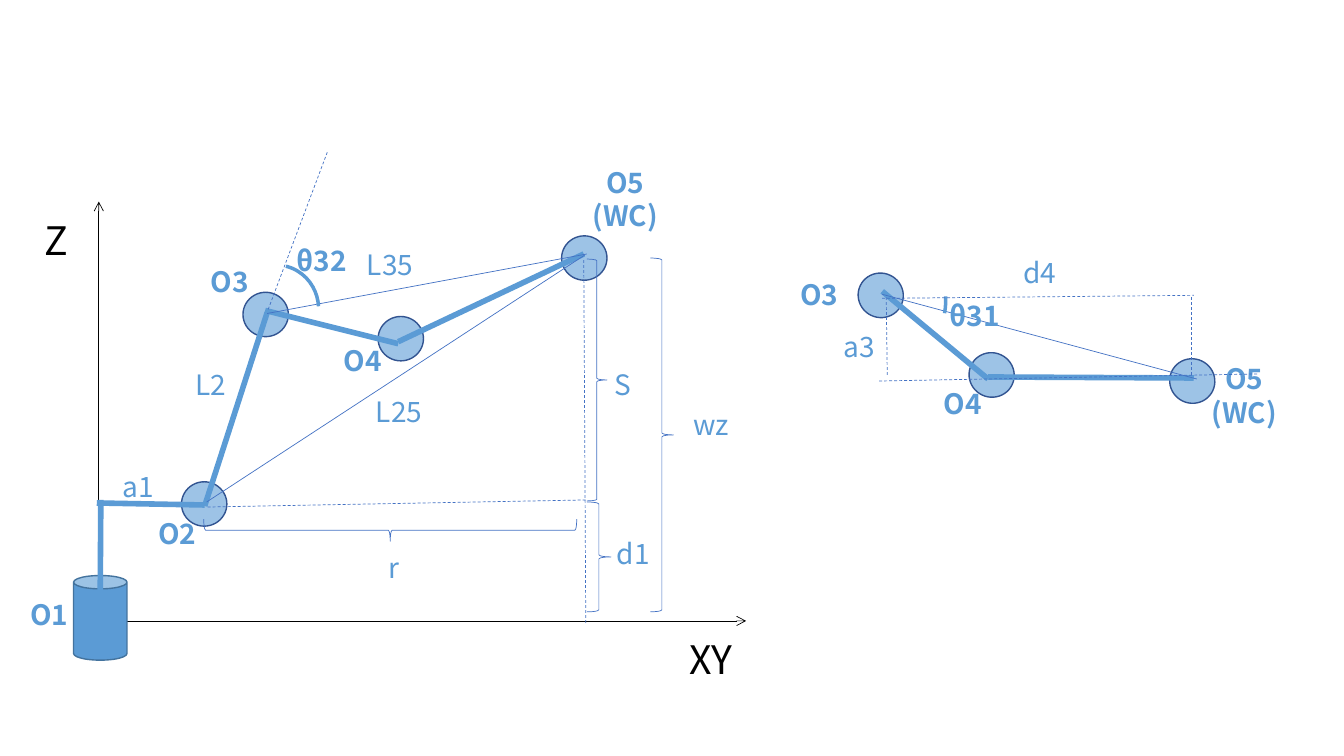
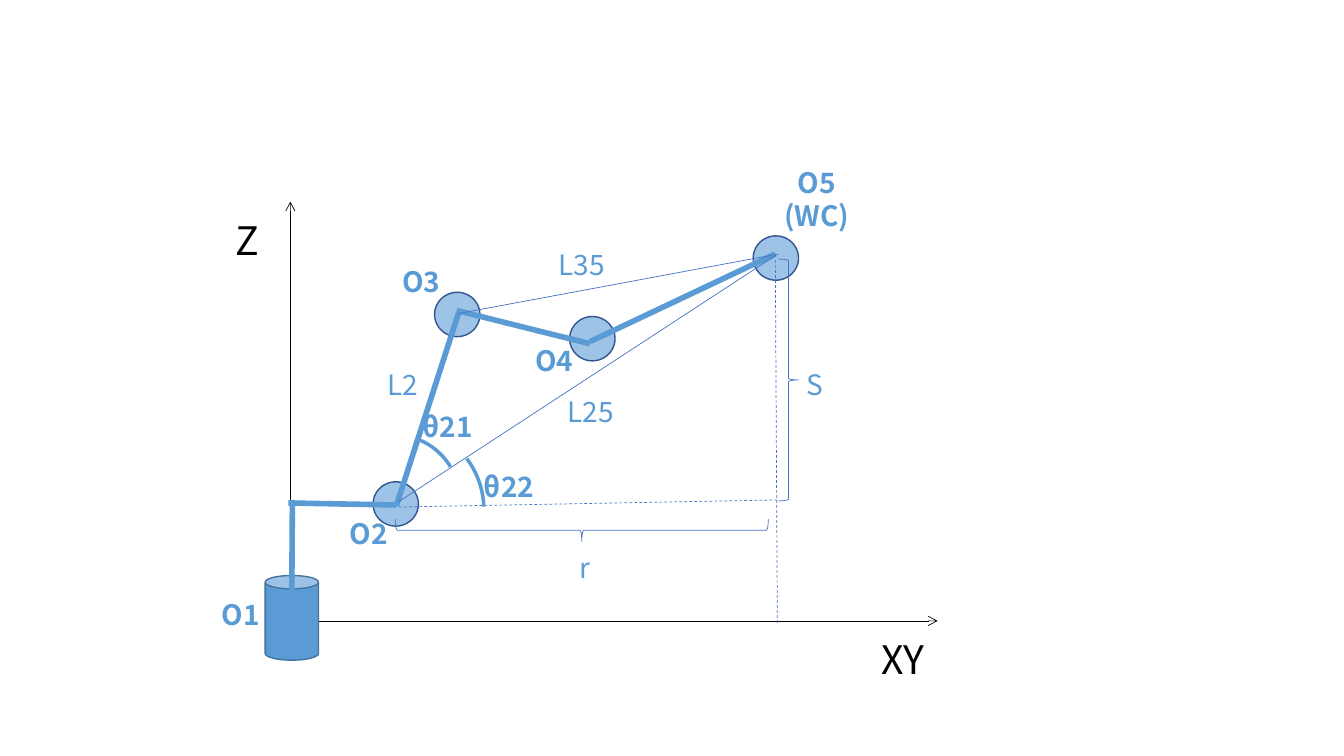
"""Two slides that show the joint angles of a robot arm."""
from dataclasses import dataclass

from lxml import etree
from pptx import Presentation
from pptx.dml.color import RGBColor
from pptx.enum.dml import MSO_LINE
from pptx.enum.shapes import MSO_CONNECTOR, MSO_SHAPE
from pptx.enum.text import MSO_AUTO_SIZE, PP_ALIGN
from pptx.oxml.ns import qn
from pptx.slide import Slide
from pptx.util import Inches, Pt

STRAIGHT = MSO_CONNECTOR.STRAIGHT
OVAL, CAN = MSO_SHAPE.OVAL, MSO_SHAPE.CAN
BRACE, ARC = MSO_SHAPE.RIGHT_BRACE, MSO_SHAPE.ARC
DASH = MSO_LINE.DASH
LEFT, CENTER = PP_ALIGN.LEFT, PP_ALIGN.CENTER
GROW = MSO_AUTO_SIZE.SHAPE_TO_FIT_TEXT

FONT = "Noto Sans CJK JP"
BLUE, PALE, THIN = "5B9BD5", "9DC3E6", "4472C4"
RIM, EDGE, BLACK = "43739E", "325491", "000000"
JOINT = (0.45, 0.44)
SHIFT = 1.9


@dataclass
class Board:
    """A slide and the distance that its drawing is moved right."""
    slide: Slide
    shift: float = 0


def color(code):
    """Turn a hex string into a colour."""
    return RGBColor.from_string(code)


def line(board, start, end, code=THIN, width=0.5, dash=False, arrow=False):
    """Draw a straight line, dashed or with an arrowhead if asked."""
    (left, top), (right, low) = start, end
    item = board.slide.shapes.add_connector(
        STRAIGHT, Inches(left + board.shift), Inches(top),
        Inches(right + board.shift), Inches(low))
    item.line.color.rgb = color(code)
    item.line.width = Pt(width)
    if dash:
        item.line.dash_style = DASH
    props = item._element.spPr
    if arrow:
        etree.SubElement(props.find(qn("a:ln")), qn("a:tailEnd"), type="arrow")
    etree.SubElement(props, qn("a:effectLst"))


def link(board, start, end):
    """Draw a thick link of the arm."""
    line(board, start, end, BLUE, 4)


def shape(board, kind, box, fill=None, edge=THIN, width=0.5, turn=0):
    """Draw a preset shape and return it."""
    left, top, wide, high = box
    item = board.slide.shapes.add_shape(
        kind, Inches(left + board.shift), Inches(top),
        Inches(wide), Inches(high))
    item.shadow.inherit = False
    item.rotation = turn
    if fill:
        item.fill.solid()
        item.fill.fore_color.rgb = color(fill)
    else:
        item.fill.background()
    item.line.color.rgb = color(edge)
    item.line.width = Pt(width)
    return item


def joint(board, left, top, turn=0):
    """Draw a round joint."""
    shape(board, OVAL, (left, top, *JOINT), PALE, EDGE, 1, turn)


def angle(board, box, start, end):
    """Draw an arc between two angles in degrees."""
    arc = shape(board, ARC, box, edge=BLUE, width=2.5)
    for place, turn in enumerate((start, end)):
        arc.adjustments[place] = turn * 60000 / 100000


def label(board, text, left, top, wide=0.72, high=0.44, bold=False,
          size=20, code=BLUE, align=LEFT):
    """Write a label."""
    box = board.slide.shapes.add_textbox(
        Inches(left + board.shift), Inches(top), Inches(wide), Inches(high))
    frame = box.text_frame
    frame.word_wrap = True
    frame.auto_size = GROW
    frame.text = text
    para = frame.paragraphs[0]
    para.alignment = align
    font = para.runs[0].font
    font.name, font.size, font.bold = FONT, Pt(size), bold
    font.color.rgb = color(code)


def name(board, text, left, top, wide=0.95):
    """Write the bold name of a joint or an angle."""
    label(board, text, left, top, wide, bold=True)


def wrist(board, left, top):
    """Write the name of the wrist centre on two lines."""
    label(board, "O5 (WC)", left, top, 0.92, 0.77, bold=True, align=CENTER)


def axes(board):
    """Draw the two axes with their names."""
    for end, start in (((7.4, 6.16), (0.96, 6.16)), ((0.98, 2), (0.98, 6.18))):
        line(board, start, end, BLACK, arrow=True)
    for text, left, top in (("XY", 6.74, 6.25), ("Z", 0.34, 2.1)):
        label(board, text, left, top, 1.72, 0.57, size=28, code=BLACK)


def arm(board):
    """Draw the arm with the parts that both slides show."""
    axes(board)
    shape(board, CAN, (0.73, 5.71, 0.53, 0.84), BLUE, RIM, 1)
    for spot in ((1.8, 4.78), (2.41, 2.9), (3.75, 3.14), (5.57, 2.34)):
        joint(board, *spot)
    for start, end in (((0.99, 6.51), (1, 4.96)), ((0.96, 4.99), (2.03, 5.01)),
                       ((2.03, 5.02), (2.65, 3.1)), ((2.63, 3.08), (3.95, 3.41)),
                       ((3.95, 3.39), (5.79, 2.52))):
        link(board, start, end)
    for text, left, top in (("O1", 0.2, 5.88), ("O2", 1.47, 5.07),
                            ("O3", 1.99, 2.57), ("O4", 3.31, 3.36)):
        name(board, text, left, top)
    wrist(board, 5.74, 1.59)
    line(board, (2.65, 3.11), (5.82, 2.52))
    line(board, (2.05, 4.98), (5.8, 2.53))
    line(board, (2.06, 5.03), (5.81, 4.96), dash=True)
    line(board, (5.81, 6.18), (5.79, 2.56), dash=True)
    shape(board, BRACE, (5.82, 2.57, 0.2, 2.4))
    shape(board, BRACE, (3.76, 3.41, 0.22, 3.7), turn=90)
    for text, left, top in (("L35", 3.54, 2.41), ("L2", 1.84, 3.6),
                            ("S", 6, 3.6), ("r", 3.75, 5.41),
                            ("L25", 3.63, 3.86)):
        label(board, text, left, top)


def sizes(board):
    """Add the heights and the angle at O3 to the arm."""
    line(board, (2.66, 3.07), (3.25, 1.5), dash=True)
    shape(board, BRACE, (5.82, 4.98, 0.24, 1.09))
    shape(board, BRACE, (6.45, 2.56, 0.23, 3.51))
    for text, left, top in (("d1", 6.02, 5.27), ("a1", 1.12, 4.61),
                            ("wz", 6.78, 3.99)):
        label(board, text, left, top)
    name(board, "θ32", 2.84, 2.37)
    angle(board, (2.32, 2.63, 0.84, 0.87), 282.79, 356.45)


def elbow(board):
    """Draw the part from O3 to O5 on its own."""
    name(board, "O3", 7.84, 2.7)
    name(board, "O4", 9.26, 3.79)
    wrist(board, 11.88, 3.54)
    for left, top in ((8.51, 2.71), (9.61, 3.5), (11.6, 3.56)):
        joint(board, left, top, 25.5)
    link(board, (8.75, 2.89), (9.8, 3.76))
    link(board, (9.8, 3.74), (11.84, 3.75))
    line(board, (8.75, 2.92), (11.87, 3.76))
    label(board, "a3", 8.27, 3.22)
    label(board, "d4", 10.05, 2.49)
    name(board, "θ31", 9.32, 2.91)
    angle(board, (8.2, 2.4, 1.18, 1.18), 355.16, 11.44)
    for start, end in (((8.75, 2.96), (11.84, 2.93)),
                       ((11.82, 3.72), (11.82, 2.95)),
                       ((8.8, 3.72), (8.79, 2.95)),
                       ((8.72, 3.78), (12.47, 3.71))):
        line(board, start, end, dash=True)


def turns(board):
    """Add the two angles at O2 to the arm."""
    angle(board, (1.25, 4.22, 1.65, 1.68), 322.09, 357.61)
    name(board, "θ22", 2.8, 4.61)
    angle(board, (1.39, 4.32, 1.28, 1.36), 286.21, 325.47)
    name(board, "θ21", 2.19, 4.01)


def main():
    """Build both slides and save them."""
    deck = Presentation()
    deck.slide_width, deck.slide_height = Inches(13.33), Inches(7.5)
    blank = deck.slide_layouts[6]
    for shift, parts in ((0, (arm, sizes, elbow)), (SHIFT, (arm, turns))):
        board = Board(deck.slides.add_slide(blank), shift)
        for part in parts:
            part(board)
    deck.save("out.pptx")


main()
